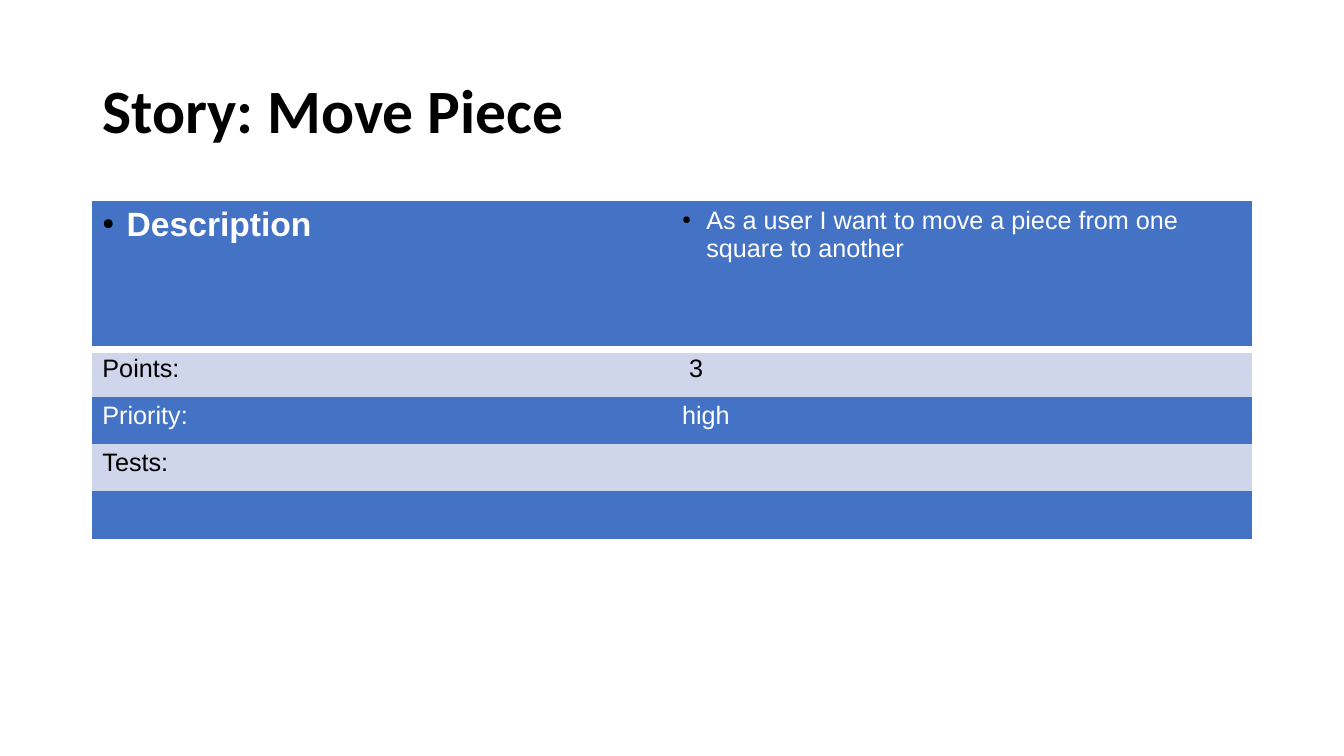
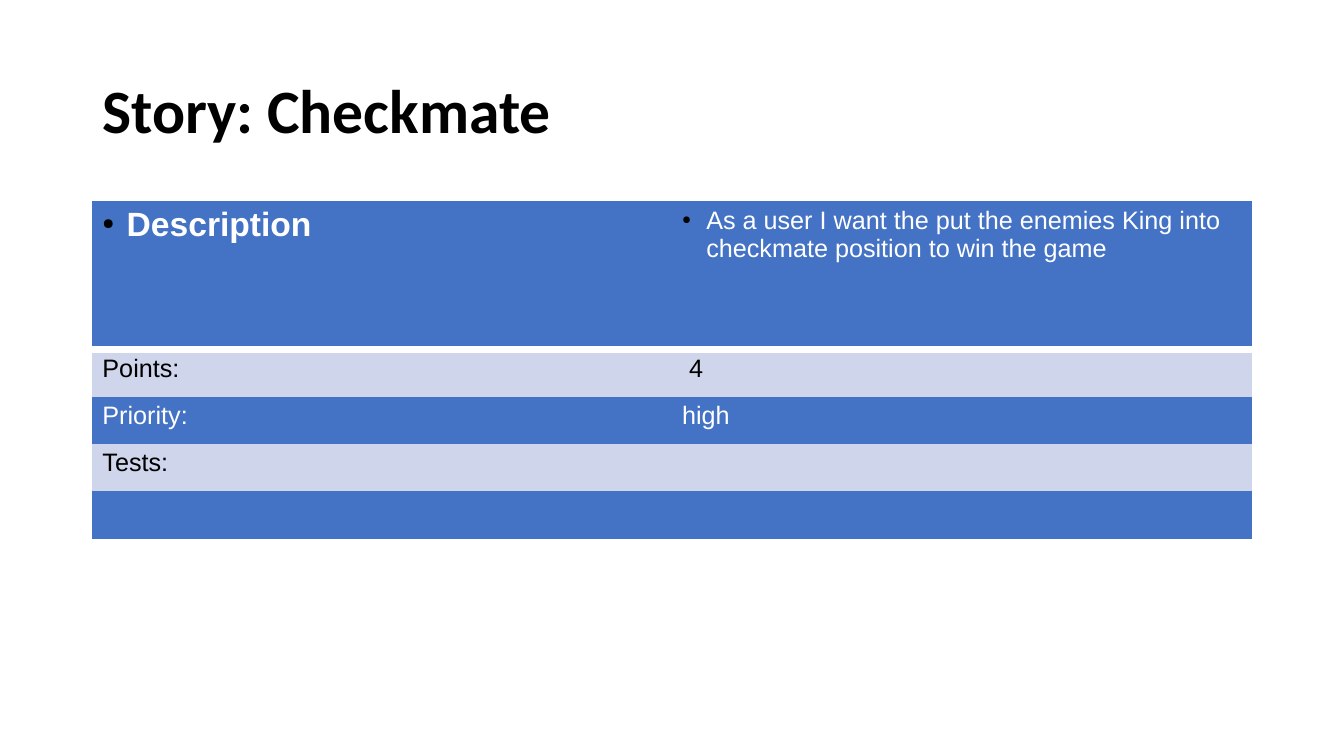
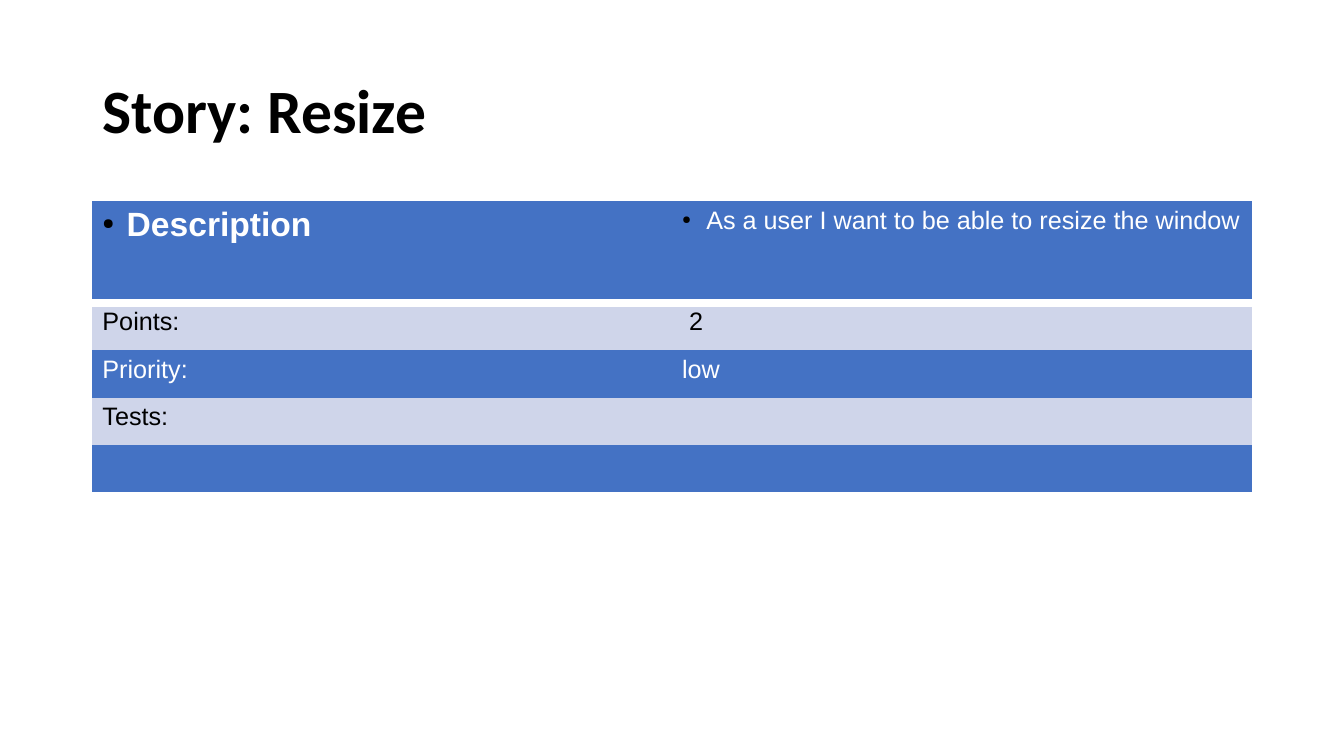
from dataclasses import dataclass

import lxml.etree
import pptx
import pptx.dml.color
import pptx.enum.text
import pptx.oxml.ns
import pptx.presentation
import pptx.slide
import pptx.table
import pptx.text.text
import pptx.util

Pt = pptx.util.Pt
Color = pptx.dml.color.RGBColor


@dataclass(frozen=True)
class Theme:
    blue: str = "4472C4"
    pale: str = "CFD5EA"
    white: str = "FFFFFF"
    black: str = "000000"
    title_font: str = "Calibri"
    body_font: str = "Arial"
    title_size: int = 44
    heading_size: int = 24
    body_size: int = 18


@dataclass(frozen=True)
class Story:
    title: str
    description: str
    points: str
    priority: str
    header_height: float


THEME = Theme()
LEFT, WIDTH = 66, 828
TITLE_TOP, TITLE_HEIGHT = 28.75, 104.4
TABLE_TOP, ROW_HEIGHT = 143.75, 33.8
BULLET_INDENT = 17.3
NO_GRID_STYLE = "{2D5ABB26-0587-4C30-8999-92F81FD0307C}"

STORIES = [
    Story("Move Piece", "As a user I want to move a piece from one square to another",
          " 3", "high", 105.8),
    Story("Checkmate", "As a user I want the put the enemies King into checkmate position to win the game",
          " 4", "high", 105.8),
    Story("Resize", "As a user I want to be able to resize the window",
          " 2", "low", 72.7),
]


# Text and XML helpers
def add_element(parent: lxml.etree.ElementBase, tag: str, **attributes: str) -> lxml.etree.ElementBase:
    element = lxml.etree.SubElement(parent, pptx.oxml.ns.qn(tag))
    for name, value in attributes.items():
        element.set(name, value)
    return element


def format_font(paragraph: pptx.text.text._Paragraph, name: str, size: int, color: str, bold: bool = False) -> None:
    for font in [paragraph.font] + [run.font for run in paragraph.runs]:
        font.name = name
        font.size = Pt(size)
        font.bold = bold
        font.color.rgb = Color.from_string(color)


def add_bullet(paragraph: pptx.text.text._Paragraph) -> None:
    properties = paragraph._p.get_or_add_pPr()
    properties.set("marL", str(Pt(BULLET_INDENT)))
    properties.set("indent", str(-Pt(BULLET_INDENT)))
    bullet_color = lxml.etree.Element(pptx.oxml.ns.qn("a:buClr"))
    add_element(bullet_color, "a:srgbClr", val=THEME.black)
    bullet_size = lxml.etree.Element(pptx.oxml.ns.qn("a:buSzPct"), val="45000")
    bullet = lxml.etree.Element(pptx.oxml.ns.qn("a:buChar"), char="●")
    # Bullet settings come before the default run properties
    for index, element in enumerate((bullet_color, bullet_size, bullet)):
        properties.insert(index, element)


def add_bottom_border(cell: pptx.table._Cell) -> None:
    properties = cell._tc.get_or_add_tcPr()
    border = add_element(properties, "a:lnB", w=str(Pt(6)))
    add_element(add_element(border, "a:solidFill"), "a:srgbClr", val=THEME.white)
    properties.insert(0, border)


# Slide parts
def add_title(slide: pptx.slide.Slide, text: str) -> None:
    box = slide.shapes.add_textbox(Pt(LEFT), Pt(TITLE_TOP), Pt(WIDTH), Pt(TITLE_HEIGHT))
    text_frame = box.text_frame
    text_frame.word_wrap = True
    text_frame.vertical_anchor = pptx.enum.text.MSO_ANCHOR.MIDDLE
    text_frame.text = text
    paragraph = text_frame.paragraphs[0]
    paragraph.line_spacing = 0.9
    format_font(paragraph, THEME.title_font, THEME.title_size, THEME.black, bold=True)


def fill_cell(cell: pptx.table._Cell, text: str, row: int, column: int) -> None:
    is_blue = row % 2 == 0
    is_header = row == 0
    is_heading = is_header and column == 0
    cell.fill.solid()
    cell.fill.fore_color.rgb = Color.from_string(THEME.blue if is_blue else THEME.pale)
    cell.text_frame.text = text
    paragraph = cell.text_frame.paragraphs[0]
    format_font(paragraph, THEME.body_font,
                THEME.heading_size if is_heading else THEME.body_size,
                THEME.white if is_blue else THEME.black, bold=is_heading)
    if is_header:
        add_bullet(paragraph)
        add_bottom_border(cell)


def add_story_table(slide: pptx.slide.Slide, story: Story) -> None:
    rows = [
        ("Description", story.description),
        ("Points:", story.points),
        ("Priority:", story.priority),
        ("Tests:", ""),
        ("", ""),
    ]
    height = story.header_height + ROW_HEIGHT * (len(rows) - 1)
    frame = slide.shapes.add_table(len(rows), 2, Pt(LEFT), Pt(TABLE_TOP), Pt(WIDTH), Pt(height))
    table = frame.table
    table._tbl.tblPr.find(pptx.oxml.ns.qn("a:tableStyleId")).text = NO_GRID_STYLE
    for row, texts in enumerate(rows):
        table.rows[row].height = Pt(ROW_HEIGHT if row else story.header_height)
        for column, text in enumerate(texts):
            fill_cell(table.cell(row, column), text, row, column)


def add_story_slide(presentation: pptx.presentation.Presentation, story: Story) -> None:
    slide = presentation.slides.add_slide(presentation.slide_layouts[6])
    add_title(slide, f"Story: {story.title}")
    add_story_table(slide, story)


def main() -> None:
    presentation = pptx.Presentation()
    presentation.slide_width = Pt(960)
    presentation.slide_height = Pt(540)
    for story in STORIES:
        add_story_slide(presentation, story)
    presentation.save("out.pptx")


if __name__ == "__main__":
    main()
